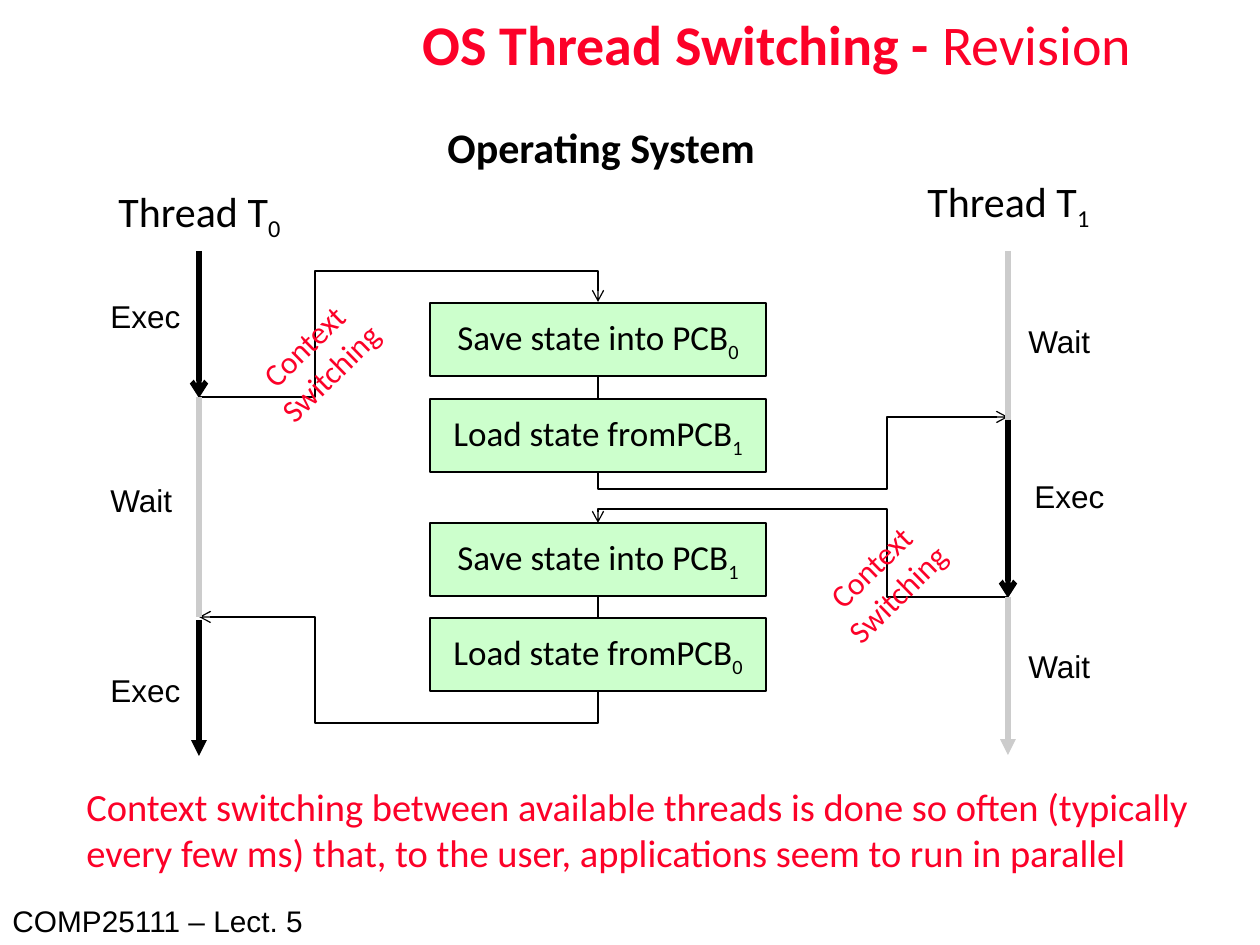
from lxml import etree
from pptx import Presentation
from pptx.dml.color import RGBColor
from pptx.enum.shapes import MSO_CONNECTOR, MSO_SHAPE
from pptx.enum.text import MSO_ANCHOR, MSO_AUTO_SIZE, PP_ALIGN
from pptx.oxml.ns import qn
from pptx.util import Pt

PIXEL = 914400 // 126
RECTANGLE = MSO_SHAPE.RECTANGLE
STRAIGHT, ELBOW = MSO_CONNECTOR.STRAIGHT, MSO_CONNECTOR.ELBOW
LEFT, CENTER = PP_ALIGN.LEFT, PP_ALIGN.CENTER
TOP, MIDDLE = MSO_ANCHOR.TOP, MSO_ANCHOR.MIDDLE
NO_FIT, GROW = MSO_AUTO_SIZE.NONE, MSO_AUTO_SIZE.SHAPE_TO_FIT_TEXT

THEME = {
    "red": RGBColor(0xFC, 0x01, 0x28),
    "black": RGBColor(0, 0, 0),
    "grey": RGBColor(0xCC, 0xCC, 0xCC),
    "green": RGBColor(0xCC, 0xFF, 0xCC),
    "thin": 0.72,
    "thick": 3,
    # style: font, size, colour, bold
    "title": ("Calibri", 32, "red", True),
    "heading": ("Calibri", 24, "black", True),
    "thread": ("Calibri", 24, "black", False),
    "step": ("Calibri", 20, "black", False),
    "switch": ("Calibri", 18, "red", False),
    "state": ("Arial", 18, "black", False),
    "closing": ("Calibri", 22, "red", False),
    "footer": ("Arial", 17, "black", False),
}

T0_X, OS_X, T1_X = 199, 598, 1008
LEFT_TURN, RIGHT_TURN = 315, 887
STEP_WIDTH, STEP_HEIGHT = 336, 73

TITLE = ("OS Thread Switching - ", "Revision")
TITLE_BOX = (294, 0, 966, 95)

# text ("_" starts a subscript, a newline starts a paragraph), style, box
LABELS = [
    ("Thread T_0", "thread", (106, 179, 188, 71)),
    ("Thread T_1", "thread", (915, 169, 188, 71)),
    ("Operating System", "heading", (435, 115, 335, 63)),
    ("Exec", "state", (98, 291, 98, 50)),
    ("Wait", "state", (98, 475, 98, 50)),
    ("Exec", "state", (98, 665, 98, 50)),
    ("Wait", "state", (1016, 316, 98, 50)),
    ("Exec", "state", (1022, 471, 98, 50)),
    ("Wait", "state", (1016, 641, 98, 50)),
    ("Context switching between available threads is done so often (typically \n"
     "every few ms) that, to the user, applications seem to run in parallel",
     "closing", (74, 777, 1142, 106)),
]
FOOTER = ("COMP25111 – Lect. 5", "footer", (0, 896, 320, 49))
SWITCHES = [(242, 315, 149, 88), (809, 536, 149, 88)]
SWITCH_TEXT, SWITCH_ANGLE = "Context\nSwitching", 315.6

STEPS = [
    ("Save state into PCB_0", 303),
    ("Load state fromPCB_1", 399),
    ("Save state into PCB_1", 523),
    ("Load state fromPCB_0", 618),
]

# x, top, bottom, colour, weight, arrowhead
LIFELINES = [
    (T0_X, 251, 398, "black", "thick", "arrow"),
    (T0_X, 397, 617, "grey", "thick", None),
    (T0_X, 620, 756, "black", "thick", "triangle"),
    (T1_X, 251, 420, "grey", "thick", None),
    (T1_X, 420, 598, "black", "thick", "arrow"),
    (T1_X, 597, 755, "grey", "thick", "triangle"),
    (OS_X, 376, 399, "black", "thin", None),
    (OS_X, 597, 617, "black", "thin", None),
]

# start, end, x and y of the turns, whether the first leg is vertical
ROUTES = [
    ((T0_X, 397), (OS_X, 302), (LEFT_TURN, 271), False),
    ((OS_X, 472), (T1_X, 417), (RIGHT_TURN, 489), True),
    ((T1_X, 597), (OS_X, 523), (RIGHT_TURN, 509), False),
    ((OS_X, 691), (T0_X, 617), (LEFT_TURN, 723), True),
]


def emu(*lengths):
    """Turn pixel lengths into EMU."""
    return [round(length * PIXEL) for length in lengths]


def set_font(font, style):
    """Apply a theme text style to a font."""
    font.name, size, colour, font.bold = THEME[style]
    font.size = Pt(size)
    font.color.rgb = THEME[colour]


def write(frame, text, style, align=LEFT, anchor=TOP, fit=GROW):
    """Fill a text frame with paragraphs and their subscripts."""
    frame.word_wrap = False
    frame.auto_size = fit
    frame.vertical_anchor = anchor
    for index, line in enumerate(text.split("\n")):
        para = frame.add_paragraph() if index else frame.paragraphs[0]
        para.alignment = align
        set_font(para.font, style)
        base, _, subscript = line.partition("_")
        para.add_run().text = base
        if subscript:
            span = para.add_run()
            span.text = subscript
            span.font._element.set("baseline", "-25000")


def add_label(page, text, style, box, **layout):
    """Add a text box and return it."""
    label = page.shapes.add_textbox(*emu(*box))
    write(label.text_frame, text, style, **layout)
    return label


def add_step(page, text, top):
    """Add one operating system step, centred on its column."""
    box = (OS_X - STEP_WIDTH / 2, top, STEP_WIDTH, STEP_HEIGHT)
    step = page.shapes.add_shape(RECTANGLE, *emu(*box))
    step.shadow.inherit = False
    step.fill.solid()
    step.fill.fore_color.rgb = THEME["green"]
    step.line.color.rgb = THEME["black"]
    step.line.width = Pt(THEME["thin"])
    write(step.text_frame, text, "step", CENTER, MIDDLE, NO_FIT)


def add_line(page, kind, ends, colour, weight, head):
    """Add a connector with an optional arrowhead and return it."""
    line = page.shapes.add_connector(kind, *emu(*ends))
    line.line.color.rgb = THEME[colour]
    line.line.width = Pt(THEME[weight])
    if head:
        outline = line.line._get_or_add_ln()
        etree.SubElement(outline, qn("a:tailEnd"), type=head)
    etree.SubElement(line._element.spPr, qn("a:effectLst"))
    return line


def add_route(page, start, end, turns, vertical):
    """Add a connector with three bends; a vertical start is a quarter turn."""
    delta = [b - a for a, b in zip(start, end)]
    ratios = [(turn - a) / d for turn, a, d in zip(turns, start, delta)]
    ends = (*start, *end)
    if vertical:
        middle_x, middle_y = [(a + b) / 2 for a, b in zip(start, end)]
        across, down = delta[1] / 2, -delta[0] / 2
        ends = (middle_x - across, middle_y - down,
                middle_x + across, middle_y + down)
        ratios.reverse()
    route = add_line(page, ELBOW, ends, "black", "thin", "arrow")
    properties = route._element.spPr
    if vertical:
        properties.find(qn("a:xfrm")).set("rot", "5400000")
    geometry = properties.find(qn("a:prstGeom"))
    geometry.set("prst", "bentConnector4")
    guides = geometry.find(qn("a:avLst"))
    if guides is None:
        guides = etree.SubElement(geometry, qn("a:avLst"))
    for number, ratio in enumerate(ratios, 1):
        etree.SubElement(guides, qn("a:gd"), name=f"adj{number}",
                         fmla=f"val {round(ratio * 100000)}")


def add_title(page):
    """Place and format the title placeholder."""
    title = page.shapes.title
    title.left, title.top, title.width, title.height = emu(*TITLE_BOX)
    frame = title.text_frame
    frame.auto_size = NO_FIT
    frame.vertical_anchor = MIDDLE
    para = frame.paragraphs[0]
    para.alignment = CENTER
    para.line_spacing = 0.9
    set_font(para.font, "title")
    for text in TITLE:
        span = para.add_run()
        span.text = text
    span.font.bold = False


deck = Presentation()
deck.slide_width, deck.slide_height = emu(1260, 945)
page = deck.slides.add_slide(deck.slide_layouts[5])
add_title(page)
for text, top in STEPS:
    add_step(page, text, top)
for route in ROUTES:
    add_route(page, *route)
for x, top, bottom, *look in LIFELINES:
    add_line(page, STRAIGHT, (x, top, x, bottom), *look)
for label in LABELS:
    add_label(page, *label)
add_label(page, *FOOTER, anchor=MIDDLE)
for box in SWITCHES:
    add_label(page, SWITCH_TEXT, "switch", box, align=CENTER).rotation = SWITCH_ANGLE
deck.save("out.pptx")
